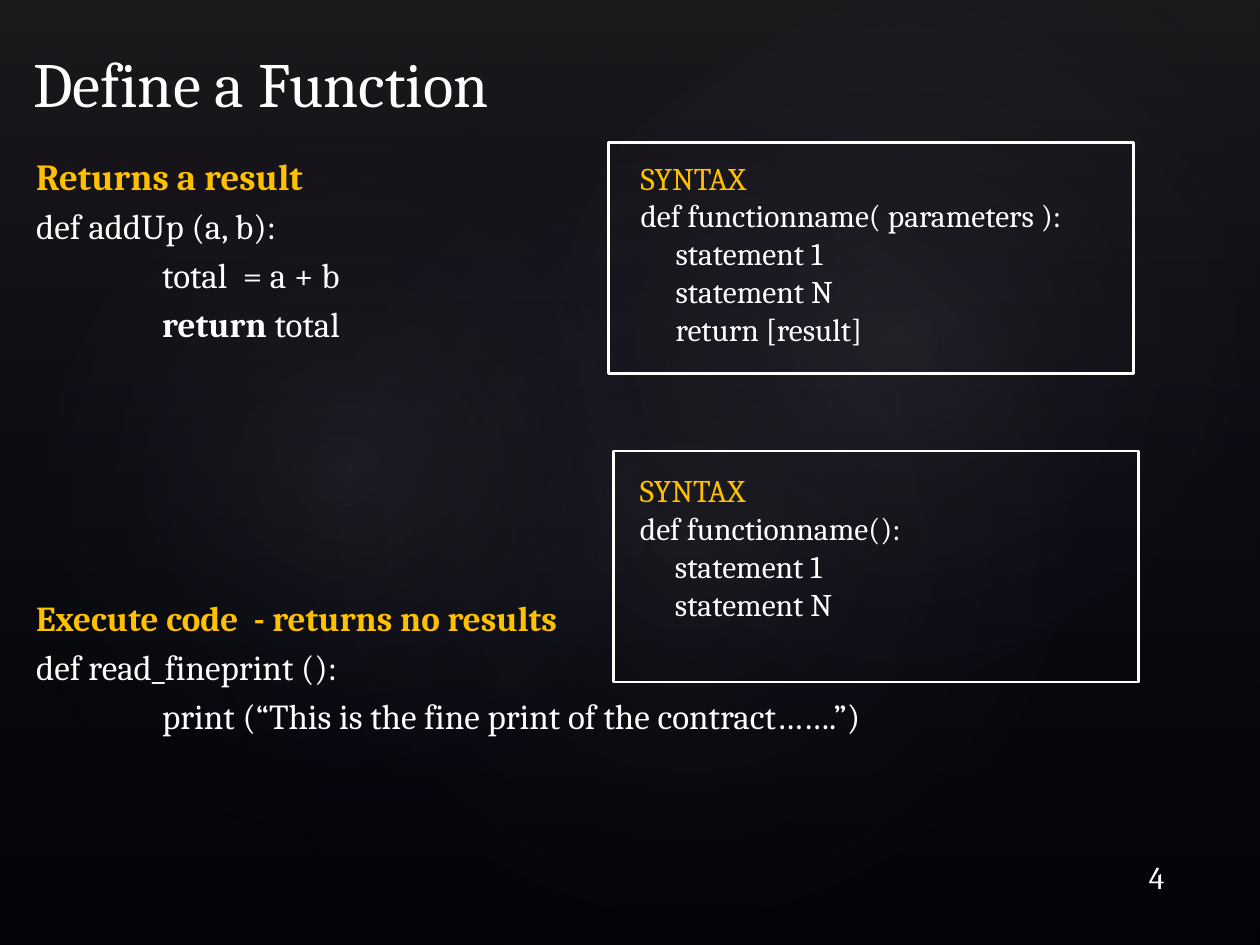
from dataclasses import dataclass

from lxml import etree
from pptx import Presentation
from pptx.dml.color import RGBColor
from pptx.enum.shapes import MSO_SHAPE
from pptx.enum.text import MSO_ANCHOR
from pptx.oxml.ns import qn
from pptx.util import Pt

RECTANGLE = MSO_SHAPE.RECTANGLE
OVAL = MSO_SHAPE.OVAL
TOP = MSO_ANCHOR.TOP
BOTTOM = MSO_ANCHOR.BOTTOM
FONT = "Cambria"
COLORS = {
    "background": "000000",
    "text": "FFFFFF",
    "heading": "FFC000",
    "veil": "504652",
    "navy": "242852",
    "glow": "C4BCC6",
}


@dataclass
class Area:
    left: float
    top: float
    width: float
    height: float


@dataclass
class Stop:
    position: int
    color: str
    opacity: int


@dataclass
class Glow:
    area: Area
    rotation: float
    opacity: int


@dataclass
class Span:
    text: str
    bold: bool = False


@dataclass
class Line:
    spans: list[Span]
    size: float
    color: str = "text"
    indent: float = 0


@dataclass
class TextBlock:
    area: Area
    lines: list[Line]
    gap: float = 0
    anchor: MSO_ANCHOR = TOP


def rgb(name: str) -> RGBColor:
    return RGBColor.from_string(COLORS[name])


def add_plain_shape(page, kind: MSO_SHAPE, area: Area):
    shape = page.shapes.add_shape(
        kind, Pt(area.left), Pt(area.top), Pt(area.width), Pt(area.height))
    shape.shadow.inherit = False
    shape.fill.background()
    shape.line.fill.background()
    return shape


def set_gradient(shape, stops: list[Stop], radial: bool) -> None:
    gradient = etree.Element(qn("a:gradFill"), rotWithShape="1")
    stop_list = etree.SubElement(gradient, qn("a:gsLst"))
    for stop in stops:
        node = etree.SubElement(stop_list, qn("a:gs"), pos=str(stop.position * 1000))
        color = etree.SubElement(node, qn("a:srgbClr"), val=COLORS[stop.color])
        etree.SubElement(color, qn("a:alpha"), val=str(stop.opacity * 1000))
    if radial:
        circle = etree.SubElement(gradient, qn("a:path"), path="circle")
        etree.SubElement(circle, qn("a:fillToRect"),
                         l="50000", t="50000", r="50000", b="50000")
    else:
        etree.SubElement(gradient, qn("a:lin"), ang="5400000", scaled="0")
    properties = shape.element.spPr
    properties.replace(properties.find(qn("a:noFill")), gradient)


def add_glow(page, glow: Glow) -> None:
    shape = add_plain_shape(page, OVAL, glow.area)
    shape.rotation = glow.rotation
    set_gradient(shape, [Stop(0, "glow", glow.opacity), Stop(58, "navy", 0)], True)


def add_frame(page, area: Area) -> None:
    frame = add_plain_shape(page, RECTANGLE, area)
    frame.line.color.rgb = rgb("text")
    frame.line.width = Pt(1.5)


def add_text(page, block: TextBlock) -> None:
    area = block.area
    box = page.shapes.add_textbox(
        Pt(area.left), Pt(area.top), Pt(area.width), Pt(area.height))
    text_frame = box.text_frame
    text_frame.word_wrap = True
    text_frame.vertical_anchor = block.anchor
    text_frame.text = "\n".join(
        "".join(span.text for span in line.spans) for line in block.lines)
    for para, line in zip(text_frame.paragraphs, block.lines):
        para.space_after = Pt(block.gap)
        if line.indent:
            para._p.get_or_add_pPr().set("marL", str(Pt(line.indent)))
        para.runs[0].text = line.spans[0].text
        for span in line.spans[1:]:
            para.add_run().text = span.text
        for run, span in zip(para.runs, line.spans):
            run.font.name = FONT
            run.font.size = Pt(line.size)
            run.font.bold = span.bold
            run.font.color.rgb = rgb(line.color)


def heading(text: str, size: float) -> Line:
    return Line([Span(text, True)], size, "heading")


def code(text: str, indent: float = 0) -> Line:
    return Line([Span(text)], 20, indent=indent)


def syntax(signature: str, statements: list[str]) -> list[Line]:
    return [
        Line([Span("SYNTAX")], 18, "heading"),
        Line([Span(signature)], 18),
        *[Line([Span(statement)], 18, indent=20) for statement in statements],
    ]


GLOWS = [
    Glow(Area(108, 82.1, 570.2, 449.3), 328.7, 7),
    Glow(Area(-21.6, 92.2, 436.3, 352.8), 294.3, 8),
    Glow(Area(257.8, 9.4, 510.5, 374.4), 328.7, 8),
]
FRAMES = [Area(347.8, 81.4, 300, 132), Area(350.6, 257.8, 300, 132)]
BLOCKS = [
    TextBlock(Area(12.2, 0, 606, 72), [Line([Span("Define a Function")], 36)],
              anchor=BOTTOM),
    TextBlock(Area(13.6, 84.2, 320, 120), [
        heading("Returns a result", 21),
        code("def addUp (a, b):"),
        code("total  = a + b", 72),
        Line([Span("return", True), Span(" total")], 20, indent=72),
    ], gap=4),
    TextBlock(Area(13.6, 337.4, 640, 92), [
        heading("Execute code  - returns no results", 20),
        code("def read_fineprint ():"),
        code("print (“This is the fine print of the contract…….”)", 72),
    ], gap=4),
    TextBlock(Area(359, 87.1, 280, 116.6), syntax(
        "def functionname( parameters ):",
        ["statement 1", "statement N", "return [result]"])),
    TextBlock(Area(358.6, 265.7, 280, 116.6), syntax(
        "def functionname():", ["statement 1", "statement N"])),
    TextBlock(Area(649.4, 486.7, 30, 29), [Line([Span("4")], 18)]),
]


def main() -> None:
    deck = Presentation()
    deck.slide_width, deck.slide_height = Pt(720), Pt(540)
    page = deck.slides.add_slide(deck.slide_layouts[6])
    page.background.fill.solid()
    page.background.fill.fore_color.rgb = rgb("background")
    veil = add_plain_shape(page, RECTANGLE, Area(0, 0, 720, 540))
    set_gradient(veil, [Stop(0, "veil", 36), Stop(100, "navy", 10)], False)
    for glow in GLOWS:
        add_glow(page, glow)
    for area in FRAMES:
        add_frame(page, area)
    for block in BLOCKS:
        add_text(page, block)
    deck.save("out.pptx")


main()
